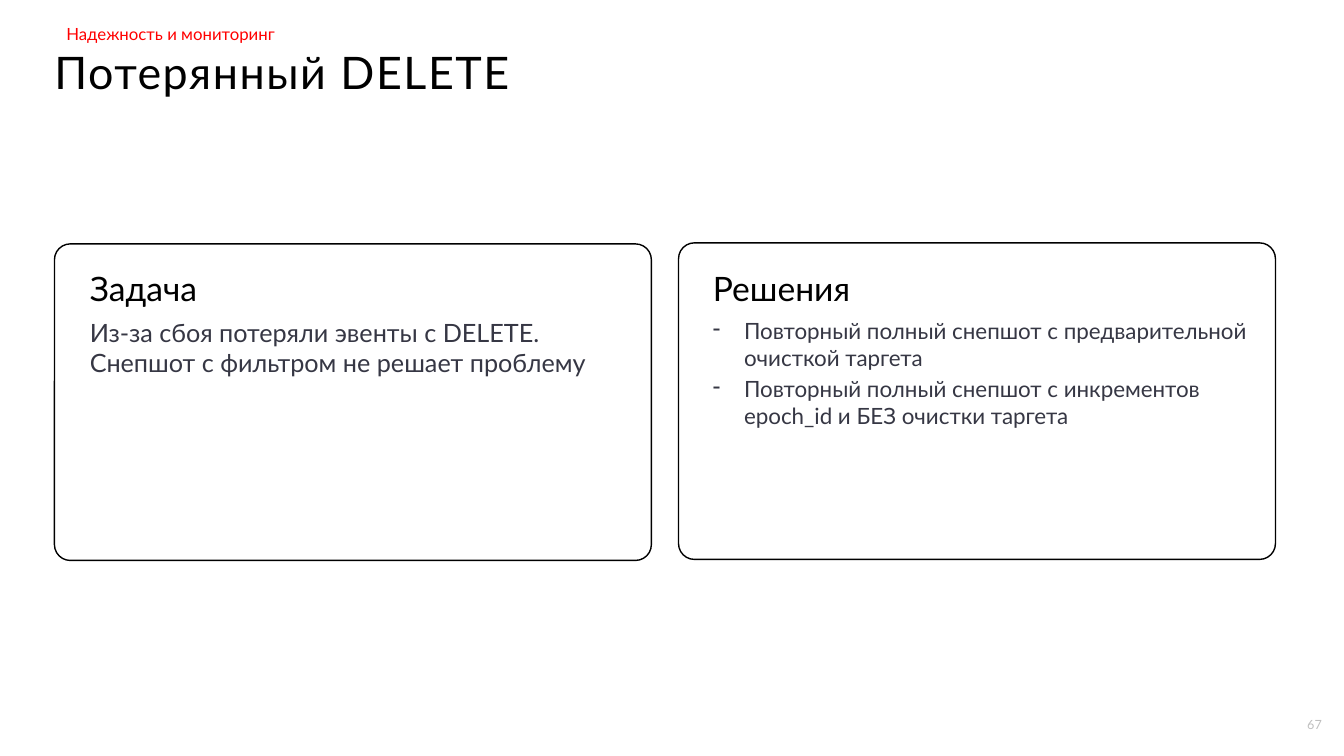
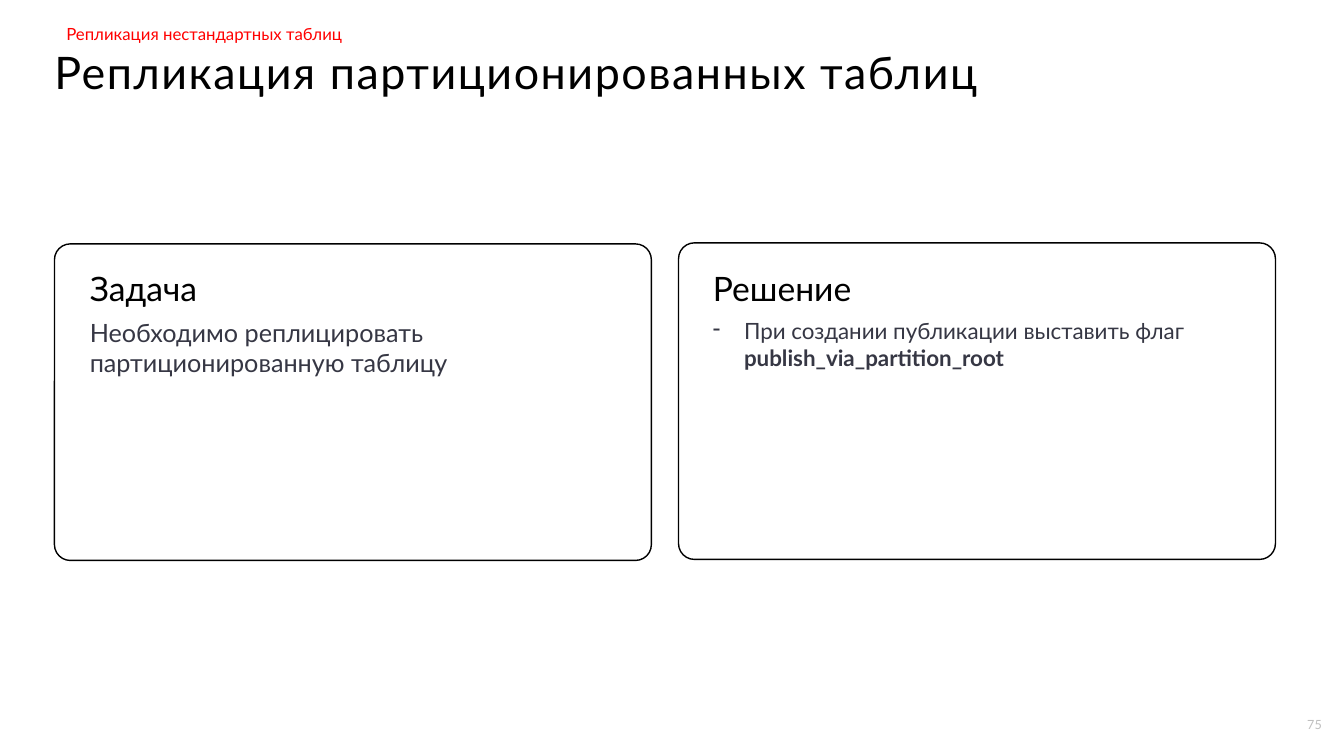
"""Build two task-and-solution slides with a shared layout."""
from dataclasses import dataclass
from typing import NamedTuple

from lxml import etree
from pptx import Presentation
from pptx import util as u
from pptx.dml.color import RGBColor
from pptx.enum import shapes, text
from pptx.oxml.ns import qn

FONT = "Lato"
BLACK, WHITE, RED, SLATE, GREY = "000000", "FFFFFF", "FF0000", "363744", "BFBFBF"
INDENT = 31


class Box(NamedTuple):
    x: int
    y: int
    w: int
    h: int


class Run(NamedTuple):
    text: str
    bold: bool = False


@dataclass
class Card:
    frame: Box
    text_x: int
    body_w: int
    size: int
    bullet: str = ""


@dataclass
class Page:
    number: int
    section: str
    title: str
    headings: tuple[str, str]
    task: str
    solutions: list[list[Run]]


CARDS = [
    Card(Box(54, 242, 592, 314), 89, 519, 18),
    Card(Box(673, 241, 592, 314), 707, 549, 16, "-"),
]

PAGES = [
    Page(67, "Надежность и мониторинг", "Потерянный DELETE", ("Задача", "Решения"),
         "Из-за сбоя потеряли эвенты с DELETE. Снепшот с фильтром не решает проблему",
         [[Run("Повторный полный снепшот с предварительной очисткой таргета")],
          [Run("Повторный полный снепшот с инкрементов epoch_id и БЕЗ очистки таргета")]]),
    Page(75, "Репликация нестандартных таблиц", "Репликация партиционированных таблиц",
         ("Задача", "Решение"),
         "Необходимо реплицировать партиционированную таблицу",
         [[Run("При создании публикации выставить флаг "),
           Run("publish_via_partition_root", True)]]),
]


def px(n: int) -> u.Emu:
    return u.Emu(n * 9144)


def rgb(color: str) -> RGBColor:
    return RGBColor.from_string(color)


def add_bullet(p, char: str) -> None:
    pPr = p._p.get_or_add_pPr()
    pPr.set("marL", str(px(INDENT)))
    pPr.set("indent", str(-px(INDENT)))
    etree.SubElement(pPr, qn("a:buChar")).set("char", char)


def add_text(s, box: Box, paragraphs: str | list[list[Run]], *, size: int,
             color: str = BLACK, anchor=text.MSO_ANCHOR.TOP, align=text.PP_ALIGN.LEFT,
             inset: int = 0, line_spacing: float | None = None,
             tracking: int = 0, bullet: str = "") -> None:
    tf = s.shapes.add_textbox(*map(px, box)).text_frame
    tf.word_wrap = True
    tf.vertical_anchor = anchor
    tf.margin_left = tf.margin_right = px(inset)
    tf.margin_top = tf.margin_bottom = 0
    if isinstance(paragraphs, str):
        paragraphs = [[Run(paragraphs)]]
    for i, runs in enumerate(paragraphs):
        p = tf.add_paragraph() if i else tf.paragraphs[0]
        p.alignment = align
        if line_spacing:
            p.line_spacing = line_spacing
        if i:
            p.space_before = u.Pt(3)
        if bullet:
            add_bullet(p, bullet)
        for run in runs:
            r = p.add_run()
            r.text = run.text
            r.font.name = FONT
            r.font.size = u.Pt(size)
            r.font.bold = run.bold
            r.font.color.rgb = rgb(color)
            if tracking:
                r.font._element.set("spc", str(tracking))


def add_card(s, card: Card, heading: str, body: str | list[list[Run]]) -> None:
    sp = s.shapes.add_shape(shapes.MSO_SHAPE.ROUNDED_RECTANGLE, *map(px, card.frame))
    sp.adjustments[0] = 0.05
    sp.shadow.inherit = False
    sp.fill.solid()
    sp.fill.fore_color.rgb = rgb(WHITE)
    sp.line.color.rgb = rgb(BLACK)
    sp.line.width = u.Pt(1)
    add_text(s, Box(card.text_x, 273, 408, 33), heading, size=24,
             anchor=text.MSO_ANCHOR.BOTTOM)
    add_text(s, Box(card.text_x, 315, card.body_w, 97), body, size=card.size,
             color=SLATE, bullet=card.bullet)


def add_page(prs, page: Page) -> None:
    s = prs.slides.add_slide(prs.slide_layouts[6])
    add_text(s, Box(56, 18, 1177, 32), page.section, size=12, color=RED, inset=10,
             anchor=text.MSO_ANCHOR.MIDDLE)
    add_text(s, Box(54, 50, 1177, 39), page.title, size=32, line_spacing=0.9, tracking=110)
    for card, heading, body in zip(CARDS, page.headings, (page.task, page.solutions)):
        add_card(s, card, heading, body)
    add_text(s, Box(1255, 711, 56, 20), str(page.number), size=9, color=GREY,
             align=text.PP_ALIGN.RIGHT)


def main() -> None:
    prs = Presentation()
    prs.slide_width, prs.slide_height = px(1333), px(750)
    for page in PAGES:
        add_page(prs, page)
    prs.save("out.pptx")


if __name__ == "__main__":
    main()
